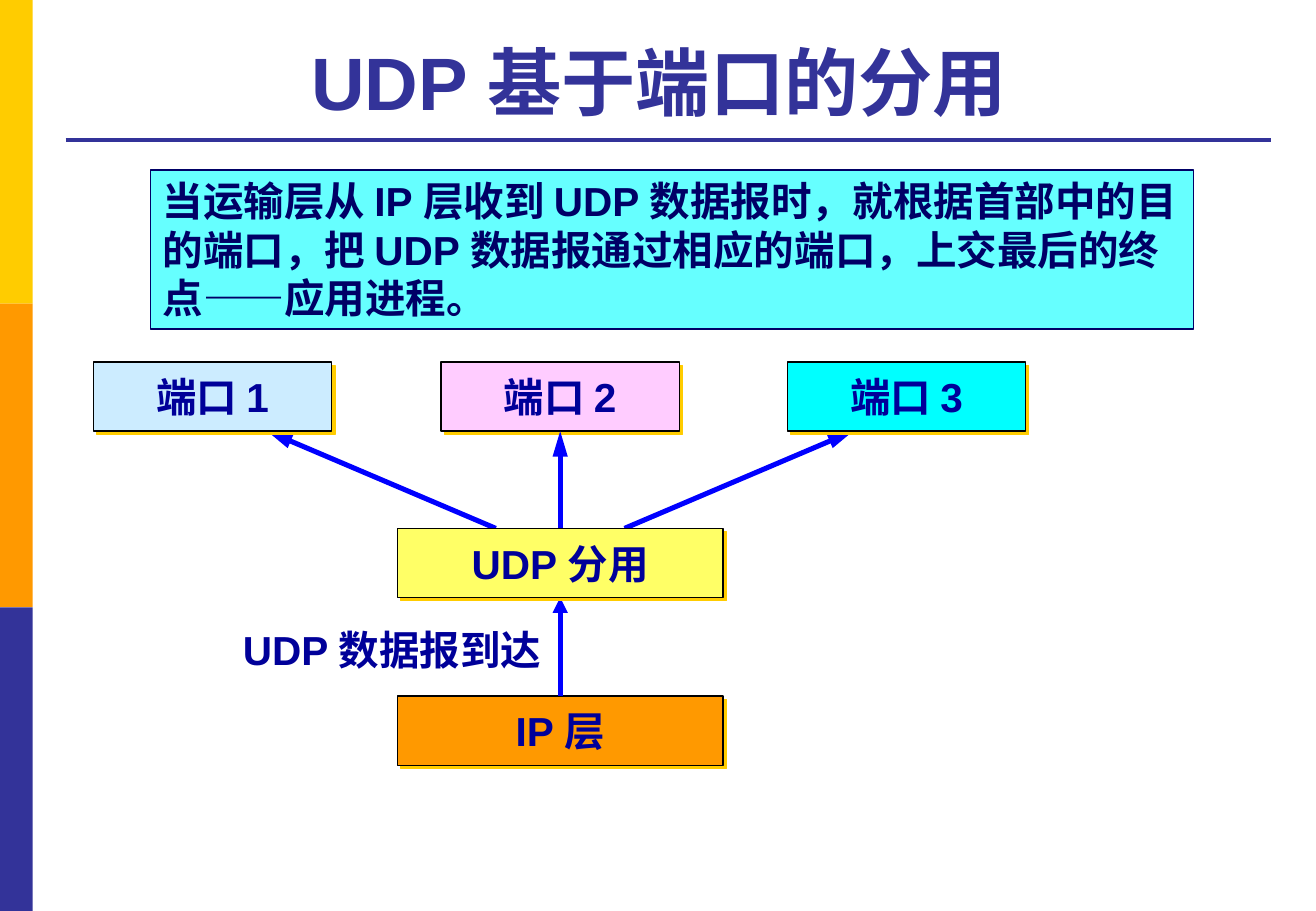
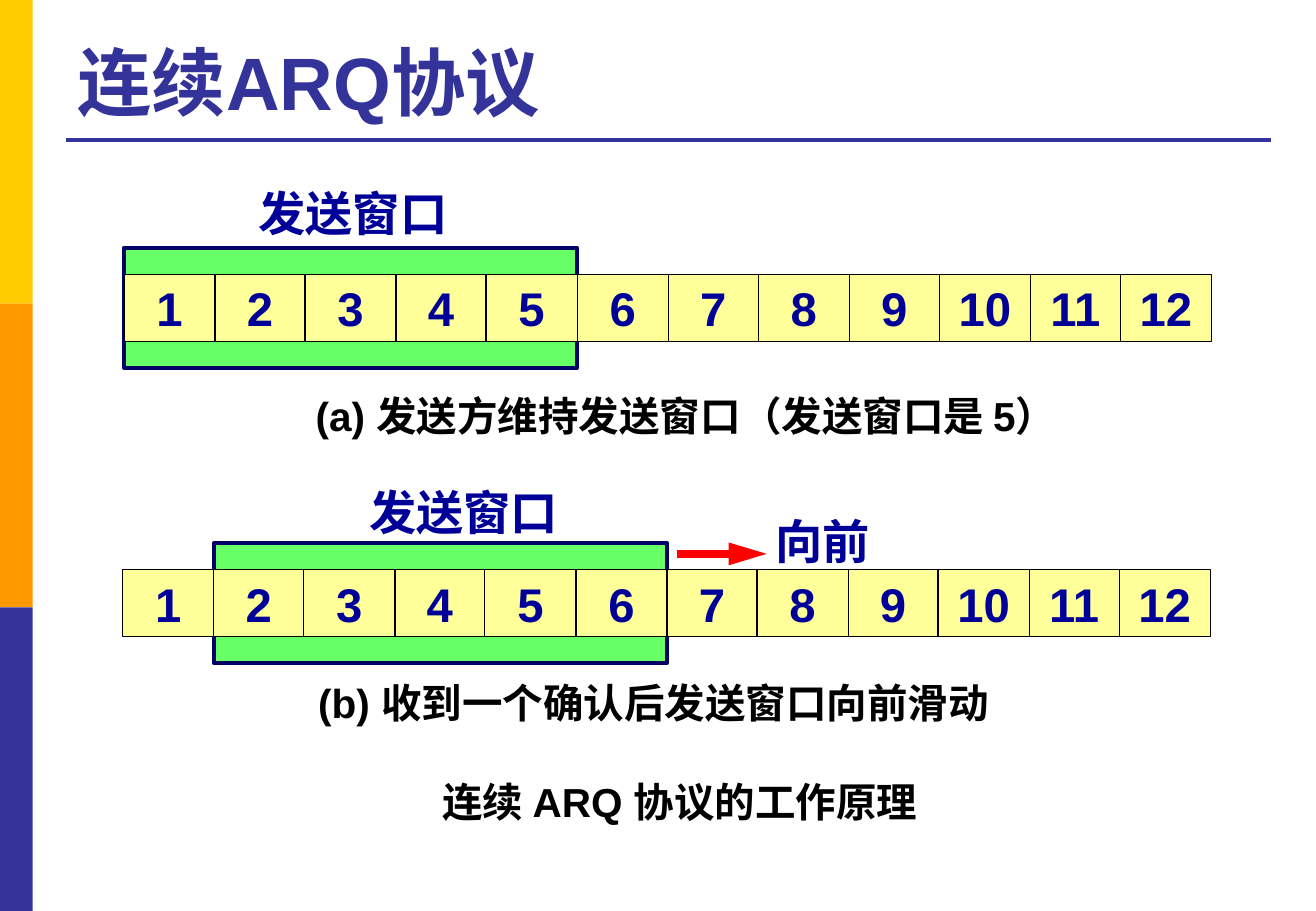
from dataclasses import dataclass
from typing import Optional

from lxml.etree import SubElement
from pptx import Presentation
from pptx.dml.color import RGBColor
from pptx.enum.shapes import MSO_CONNECTOR, MSO_SHAPE
from pptx.enum.text import MSO_ANCHOR, PP_ALIGN
from pptx.oxml.ns import qn
from pptx.util import Emu, Pt

EMU_PER_PX = 9144
FONT = "Arial"
COLORS = {
    "gold": "FFCC00", "orange": "FF9900", "indigo": "333399",
    "navy": "000066", "ink": "000099", "black": "000000",
    "blue": "0000FF", "red": "FF0000", "pink": "FFCCFF",
    "aqua": "00FFFF", "ice": "CCECFF", "lemon": "FFFF66",
    "cyan": "66FFFF", "green": "66FF66", "cream": "FFFF99",
}


@dataclass(frozen=True)
class Area:
    left: int
    top: int
    width: int
    height: int

    def emu(self) -> tuple:
        return tuple(map(px, (self.left, self.top, self.width, self.height)))


@dataclass(frozen=True)
class TextStyle:
    size: int = 24
    color: str = "ink"
    align: PP_ALIGN = PP_ALIGN.LEFT
    anchor: MSO_ANCHOR = MSO_ANCHOR.TOP
    wrap: bool = True


@dataclass(frozen=True)
class Window:
    left: int
    top: int
    first_cell: int
    label: Area
    caption: str
    caption_area: Area


TITLE_AREA = Area(54, 21, 991, 87)
BOX_STYLE = TextStyle(align=PP_ALIGN.CENTER, anchor=MSO_ANCHOR.MIDDLE, wrap=False)
CELL_STYLE = TextStyle(28, align=PP_ALIGN.CENTER, anchor=MSO_ANCHOR.MIDDLE, wrap=False)
LABEL_STYLE = TextStyle(28)
CAPTION_STYLE = TextStyle(color="black")

CELL_COUNT = 12
WINDOW_CELLS = 5
ROW_WIDTH = 895
CELL_HEIGHT = 55
WINDOW_MARGIN = 22
WINDOWS = (
    Window(102, 226, 0, Area(203, 147, 178, 57),
           "(a) 发送方维持发送窗口（发送窗口是 5）", Area(250, 317, 640, 50)),
    Window(101, 469, 1, Area(294, 393, 178, 57),
           "(b) 收到一个确认后发送窗口向前滑动", Area(252, 553, 580, 50)),
)


def px(length: int) -> Emu:
    return Emu(length * EMU_PER_PX)


def rgb(name: str) -> RGBColor:
    return RGBColor.from_string(COLORS[name])


def write(shape, text: str, style: TextStyle) -> None:
    frame = shape.text_frame
    frame.text = text
    frame.word_wrap = style.wrap
    frame.vertical_anchor = style.anchor
    paragraph = frame.paragraphs[0]
    paragraph.alignment = style.align
    for run in paragraph.runs:
        run.font.name = FONT
        run.font.size = Pt(style.size)
        run.font.bold = True
        run.font.color.rgb = rgb(style.color)


def add_text(slide, area: Area, text: str, style: TextStyle) -> None:
    write(slide.shapes.add_textbox(*area.emu()), text, style)


def add_rectangle(slide, area: Area, fill: str, line: Optional[str] = None,
                  width: float = 0.75):
    shape = slide.shapes.add_shape(MSO_SHAPE.RECTANGLE, *area.emu())
    shape.shadow.inherit = False
    shape.fill.solid()
    shape.fill.fore_color.rgb = rgb(fill)
    if line:
        shape.line.color.rgb = rgb(line)
        shape.line.width = Pt(width)
    else:
        shape.line.fill.background()
    return shape


def add_line(slide, start: tuple, end: tuple, color: str, width: float,
             arrow_length: Optional[str] = None):
    connector = slide.shapes.add_connector(
        MSO_CONNECTOR.STRAIGHT, *map(px, start + end))
    connector.line.color.rgb = rgb(color)
    connector.line.width = Pt(width)
    properties = connector._element.spPr
    if arrow_length:
        SubElement(properties.find(qn("a:ln")), qn("a:tailEnd"),
                   type="triangle", w="med", len=arrow_length)
    SubElement(properties, qn("a:effectLst"))
    return connector


def add_layer_box(slide, area: Area, text: str, fill: str):
    shape = add_rectangle(slide, area, fill, "black")
    effects = shape._element.spPr.find(qn("a:effectLst"))
    shadow = SubElement(effects, qn("a:outerShdw"), dist=str(Pt(2.8)),
                        dir=str(45 * 60000), algn="ctr", rotWithShape="0")
    SubElement(shadow, qn("a:srgbClr"), val=COLORS["gold"])
    write(shape, text, BOX_STYLE)
    return shape


def add_framed_slide(presentation, title: str, align: PP_ALIGN):
    slide = presentation.slides.add_slide(presentation.slide_layouts[6])
    for index, color in enumerate(("gold", "orange", "indigo")):
        add_rectangle(slide, Area(0, index * 250, 27, 250), color)
    add_line(slide, (54, 115), (1046, 115), "indigo", 2.25)
    add_text(slide, TITLE_AREA, title,
             TextStyle(44, "indigo", align, MSO_ANCHOR.BOTTOM))
    return slide


def add_port(slide, number: int, fill: str):
    area = Area(77 + round((number - 1) * 285.5), 298, 196, 57)
    return add_layer_box(slide, area, f"端口 {number}", fill)


def build_demultiplexing(presentation) -> None:
    slide = add_framed_slide(presentation, "UDP 基于端口的分用 ", PP_ALIGN.CENTER)
    network = add_layer_box(slide, Area(327, 573, 268, 57), "IP 层", "orange")
    add_text(slide, Area(190, 510, 269, 51), "UDP 数据报到达", TextStyle())
    middle_port = add_port(slide, 2, "pink")
    arrival, to_middle, _, _ = [
        add_line(slide, start, end, "blue", 3, arrow_length)
        for start, end, arrow_length in (
            ((461, 573), (461, 492), "med"),
            ((461, 435), (461, 355), "lg"),
            ((514, 435), (702, 355), "lg"),
            ((408, 435), (220, 355), "lg"),
        )
    ]
    add_port(slide, 3, "aqua")
    add_port(slide, 1, "ice")
    splitter = add_layer_box(slide, Area(327, 435, 268, 57), "UDP 分用", "lemon")
    for arrow, source, target in ((arrival, network, splitter),
                                  (to_middle, splitter, middle_port)):
        arrow.begin_connect(source, 0)
        arrow.end_connect(target, 2)
    summary = add_rectangle(slide, Area(124, 140, 858, 131), "cyan", "navy")
    write(summary,
          "当运输层从 IP 层收到 UDP 数据报时，就根据首部中的目的端口，"
          "把 UDP 数据报通过相应的端口，上交最后的终点——应用进程。",
          TextStyle(color="navy"))


def add_window(slide, window: Window) -> None:
    edges = [window.left + round(ROW_WIDTH * index / CELL_COUNT)
             for index in range(CELL_COUNT + 1)]
    start = edges[window.first_cell]
    end = edges[window.first_cell + WINDOW_CELLS]
    bottom = window.top + CELL_HEIGHT
    add_rectangle(slide, Area(start, window.top - WINDOW_MARGIN, end - start,
                              CELL_HEIGHT + 2 * WINDOW_MARGIN),
                  "green", "navy", 2.25)
    add_rectangle(slide, Area(window.left, window.top, ROW_WIDTH, CELL_HEIGHT),
                  "cream", "black")
    for number, (left, right) in enumerate(zip(edges, edges[1:]), start=1):
        add_text(slide, Area(left, window.top, right - left, CELL_HEIGHT),
                 str(number), CELL_STYLE)
    for edge in edges[1:-1]:
        add_line(slide, (edge, window.top), (edge, bottom), "black", 0.75)
    add_text(slide, window.caption_area, window.caption, CAPTION_STYLE)
    add_text(slide, window.label, "发送窗口", LABEL_STYLE)


def build_continuous_arq(presentation) -> None:
    slide = add_framed_slide(presentation, "连续ARQ协议", PP_ALIGN.LEFT)
    for window in WINDOWS:
        add_window(slide, window)
    add_line(slide, (557, 456), (631, 456), "red", 4.5, "lg")
    add_text(slide, Area(628, 417, 99, 57), "向前", LABEL_STYLE)
    add_text(slide, Area(272, 635, 575, 50), "连续 ARQ 协议的工作原理",
             TextStyle(color="black", align=PP_ALIGN.CENTER))


def main() -> None:
    presentation = Presentation()
    presentation.slide_width = px(1083)
    presentation.slide_height = px(750)
    build_demultiplexing(presentation)
    build_continuous_arq(presentation)
    presentation.save("out.pptx")


if __name__ == "__main__":
    main()
